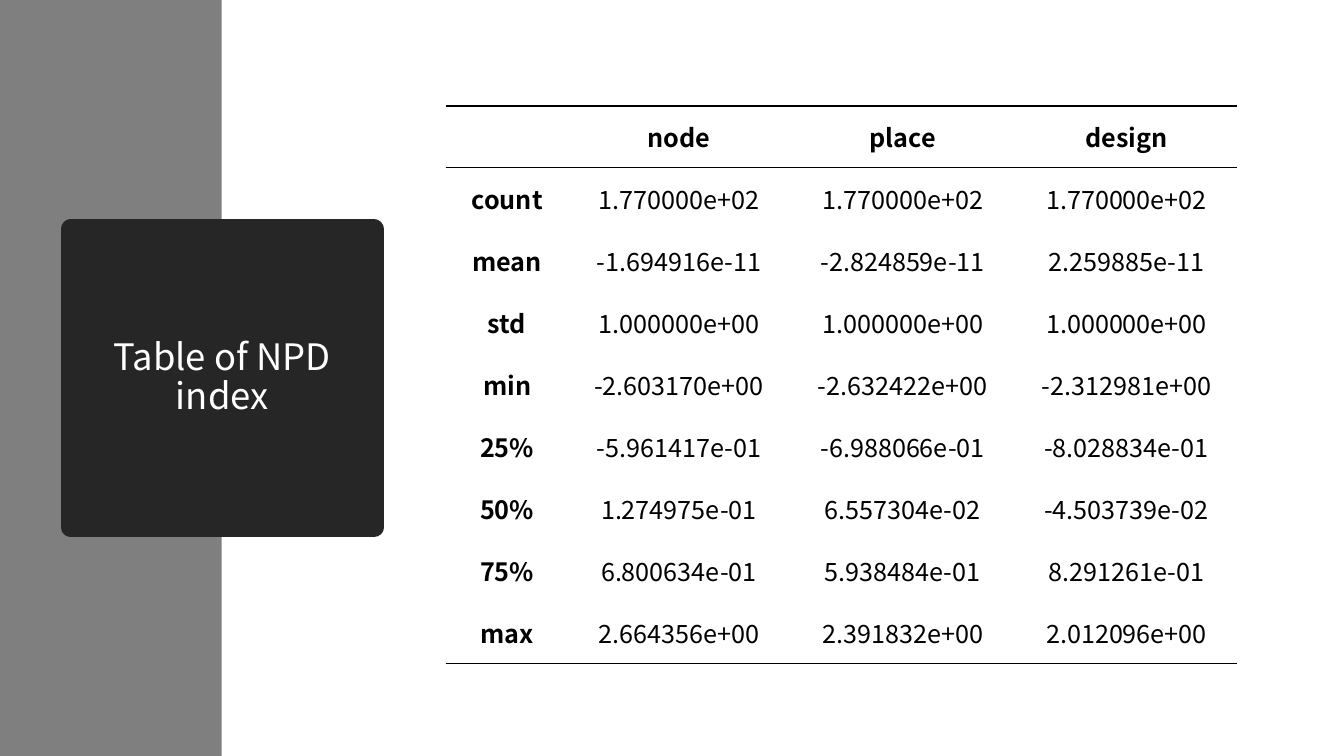
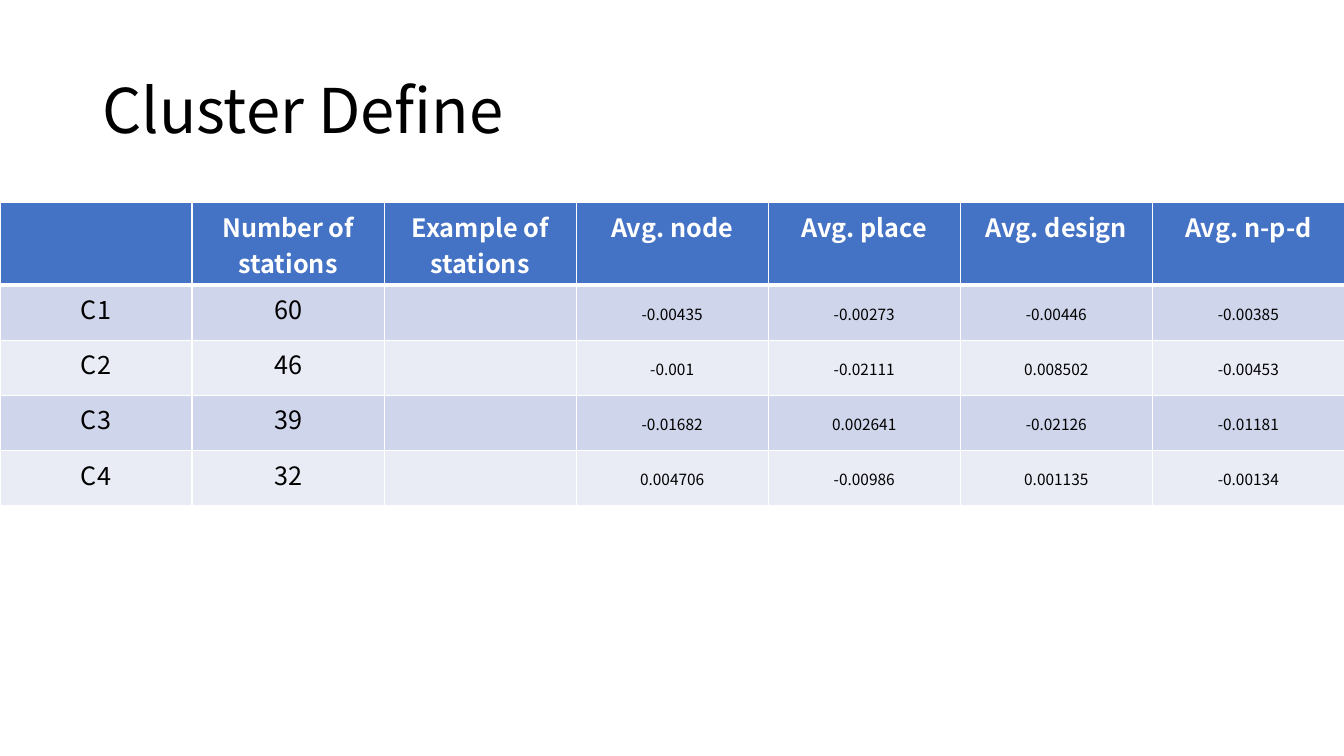
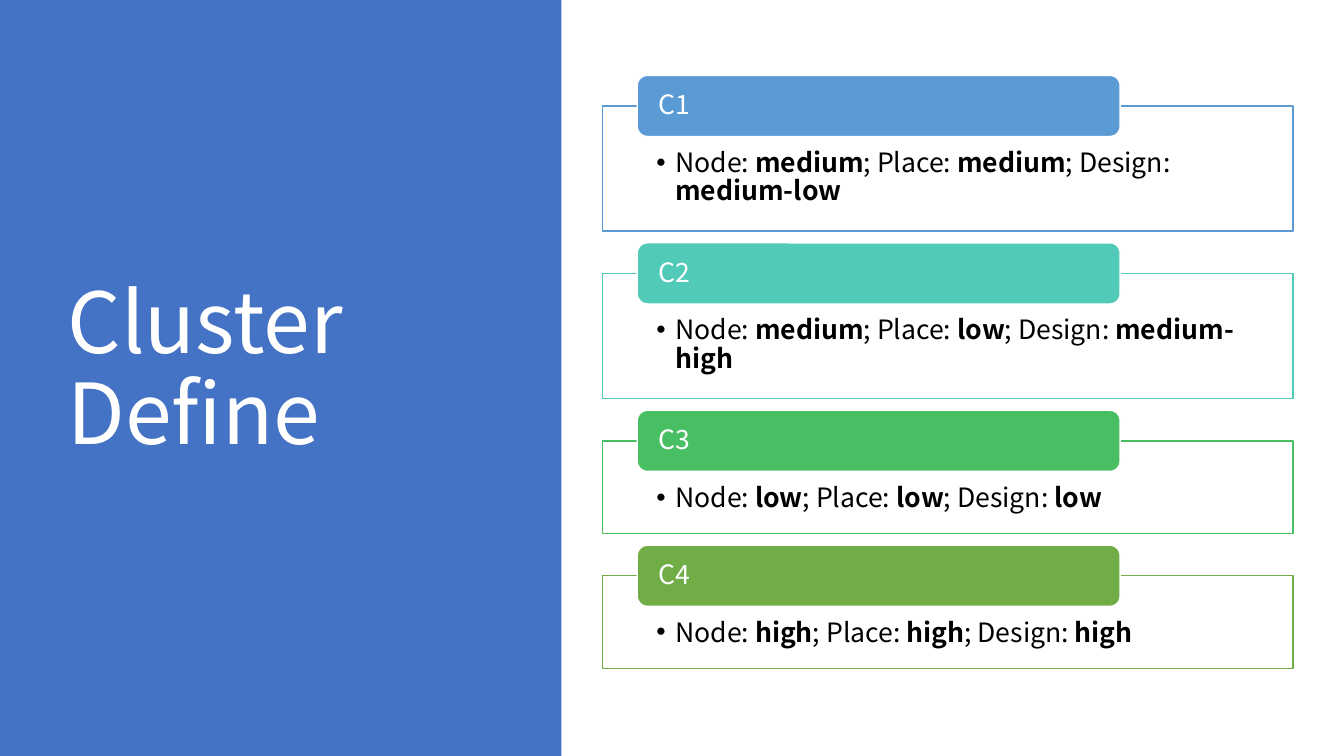
from lxml.etree import SubElement
from pptx import Presentation
from pptx.dml.color import RGBColor
from pptx.enum.shapes import MSO_SHAPE
from pptx.enum.text import MSO_ANCHOR, PP_ALIGN
from pptx.oxml.ns import qn
from pptx.util import Cm, Pt

FONT = "Noto Sans CJK SC"
BLACK = RGBColor(0x00, 0x00, 0x00)
WHITE = RGBColor(0xFF, 0xFF, 0xFF)
GRAY = RGBColor(0x7F, 0x7F, 0x7F)
DARK = RGBColor(0x26, 0x26, 0x26)
BLUE = RGBColor(0x44, 0x72, 0xC4)
BAND = RGBColor(0xCF, 0xD5, 0xEA)
PALE = RGBColor(0xE9, 0xEB, 0xF5)
SKY = RGBColor(0x5B, 0x9B, 0xD5)
TEAL = RGBColor(0x52, 0xCA, 0xB8)
GREEN = RGBColor(0x49, 0xBF, 0x64)
OLIVE = RGBColor(0x70, 0xAD, 0x47)


def put(para, text, size, color, bold=False):
    run = para.add_run()
    run.text = text
    run.font.name = FONT
    run.font.size = Pt(size)
    run.font.color.rgb = color
    run.font.bold = bold


def box(slide, kind, place, fill, line=None, width=1):
    shape = slide.shapes.add_shape(kind, *map(Cm, place))
    shape.shadow.inherit = False
    shape.fill.solid()
    shape.fill.fore_color.rgb = fill
    if line is None:
        shape.line.fill.background()
    else:
        shape.line.color.rgb = line
        shape.line.width = Pt(width)
    para = shape.text_frame.paragraphs[0]
    para.alignment = PP_ALIGN.LEFT
    para.line_spacing = 0.9
    return shape


deck = Presentation()
deck.slide_width, deck.slide_height = Cm(33.87), Cm(19.05)
index, stats, notes = [deck.slides.add_slide(deck.slide_layouts[6]) for _ in range(3)]

box(index, MSO_SHAPE.RECTANGLE, (0, 0, 5.59, 19.05), GRAY)
card = box(index, MSO_SHAPE.RECTANGLE, (1.78, 5.77, 7.65, 7.52), DARK, DARK, 13.75)
SubElement(card.line._get_or_add_ln(), qn("a:round"))
para = card.text_frame.paragraphs[0]
para.alignment = PP_ALIGN.CENTER
put(para, "Table of NPD index", 26, WHITE)

box(notes, MSO_SHAPE.RECTANGLE, (0, 0, 14.15, 19.05), BLUE)
titles = [
    (stats, (2.33, 1.01, 29.21, 3.68), 44, BLACK),
    (notes, (1.45, 1.73, 10.57, 15.29), 60, WHITE),
]
for slide, place, size, color in titles:
    frame = slide.shapes.add_textbox(*map(Cm, place)).text_frame
    frame.word_wrap = True
    frame.vertical_anchor = MSO_ANCHOR.MIDDLE
    frame.paragraphs[0].line_spacing = 0.9
    put(frame.paragraphs[0], "Cluster Define", size, color)

scores = [
    ("", "node", "place", "design"),
    ("count", "1.770000e+02", "1.770000e+02", "1.770000e+02"),
    ("mean", "-1.694916e-11", "-2.824859e-11", "2.259885e-11"),
    ("std", "1.000000e+00", "1.000000e+00", "1.000000e+00"),
    ("min", "-2.603170e+00", "-2.632422e+00", "-2.312981e+00"),
    ("25%", "-5.961417e-01", "-6.988066e-01", "-8.028834e-01"),
    ("50%", "1.274975e-01", "6.557304e-02", "-4.503739e-02"),
    ("75%", "6.800634e-01", "5.938484e-01", "8.291261e-01"),
    ("max", "2.664356e+00", "2.391832e+00", "2.012096e+00"),
]
groups = [
    ("", "Number of stations", "Example of stations",
     "Avg. node", "Avg. place", "Avg. design", "Avg. n-p-d"),
    ("C1", "60", "", "-0.00435", "-0.00273", "-0.00446", "-0.00385"),
    ("C2", "46", "", "-0.001", "-0.02111", "0.008502", "-0.00453"),
    ("C3", "39", "", "-0.01682", "0.002641", "-0.02126", "-0.01181"),
    ("C4", "32", "", "0.004706", "-0.00986", "0.001135", "-0.00134"),
]
grids = [
    (index, scores, (11.23, 2.67), [3.02] + [5.64] * 3, [1.56] * 9),
    (stats, groups, (0, 5.11), [4.84] * 7, [2.08] + [1.39] * 4),
]
for slide, data, spot, wide, high in grids:
    place = (*spot, sum(wide), sum(high))
    grid = slide.shapes.add_table(len(high), len(wide), *map(Cm, place)).table
    grid.first_row = grid.horz_banding = False
    for col, size in zip(grid.columns, wide):
        col.width = Cm(size)
    for row, size in zip(grid.rows, high):
        row.height = Cm(size)
    for r, line in enumerate(data):
        for c, text in enumerate(line):
            cell = grid.cell(r, c)
            head = r == 0
            size, color, fill = 18, BLACK, None
            if slide is index:
                pads = (0.41, 0.3, 0.33, 0.3)
                mid, bold = True, head or c == 0
                edges = {"T": 1 if r < 2 else 0, "B": 1 if r in (0, 8) else 0}
                ink = BLACK
            else:
                mid, bold = not head and c > 2, head
                pads = (0.13,) * 4 if head else (0.25, 0.13, 0.25, 0.13)
                if mid:
                    size, pads = 11, (0.03, 0.03, 0.03, 0)
                if head:
                    color = WHITE
                fill = BLUE if head else BAND if r % 2 else PALE
                edges = {"L": 1, "R": 1, "T": 3 if r == 1 else 1, "B": 3 if head else 1}
                ink = WHITE
            cell.margin_left, cell.margin_top, cell.margin_right, cell.margin_bottom = map(Cm, pads)
            cell.vertical_anchor = MSO_ANCHOR.MIDDLE if mid else MSO_ANCHOR.TOP
            para = cell.text_frame.paragraphs[0]
            para.alignment = PP_ALIGN.CENTER
            if text:
                put(para, text, size, color, bold)
            props = cell._tc.get_or_add_tcPr()
            for side in "LRTB":
                width = edges.get(side, 0)
                edge = SubElement(props, qn("a:ln" + side), w=str(Pt(width)))
                if width:
                    paint = SubElement(edge, qn("a:solidFill"))
                    SubElement(paint, qn("a:srgbClr"), val=str(ink))
                else:
                    SubElement(edge, qn("a:noFill"))
            if fill is None:
                cell.fill.background()
            else:
                cell.fill.solid()
                cell.fill.fore_color.rgb = fill

kinds = [
    ("C1", SKY, 3.15, ("medium", "medium", "medium-low")),
    ("C2", TEAL, 3.15, ("medium", "low", "medium-high")),
    ("C3", GREEN, 2.33, ("low", "low", "low")),
    ("C4", OLIVE, 2.33, ("high", "high", "high")),
]
top = 2.67
for name, color, high, marks in kinds:
    panel = box(notes, MSO_SHAPE.RECTANGLE, (15.19, top, 17.4, high), WHITE, color)
    frame = panel.text_frame
    frame.vertical_anchor = MSO_ANCHOR.TOP
    frame.margin_left = frame.margin_right = Cm(1.35)
    frame.margin_top, frame.margin_bottom = Cm(1.09), Cm(0.38)
    para = frame.paragraphs[0]
    props = para._p.get_or_add_pPr()
    props.set("marL", str(Cm(0.48)))
    props.set("indent", str(-Cm(0.48)))
    SubElement(props, qn("a:buFont"), typeface="Arial")
    SubElement(props, qn("a:buChar"), char="•")
    for label, mark in zip(("Node: ", "; Place: ", "; Design: "), marks):
        put(para, label, 19, BLACK)
        put(para, mark, 19, BLACK, True)
    tab = box(notes, MSO_SHAPE.ROUNDED_RECTANGLE, (16.06, top - 0.77, 12.17, 1.54), color, WHITE)
    frame = tab.text_frame
    frame.margin_left = frame.margin_right = Cm(0.46)
    frame.margin_top = frame.margin_bottom = 0
    put(frame.paragraphs[0], name, 19, WHITE)
    top += high + 1.07

deck.save("out.pptx")
